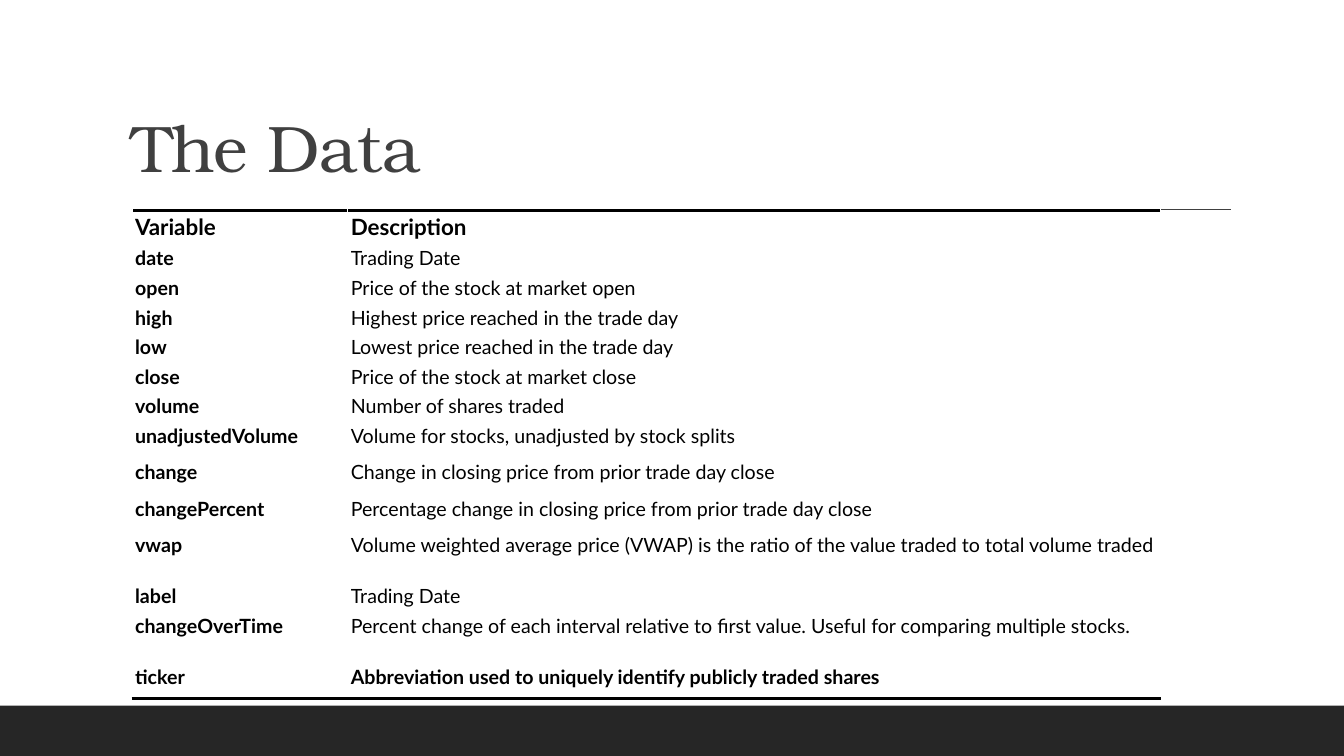
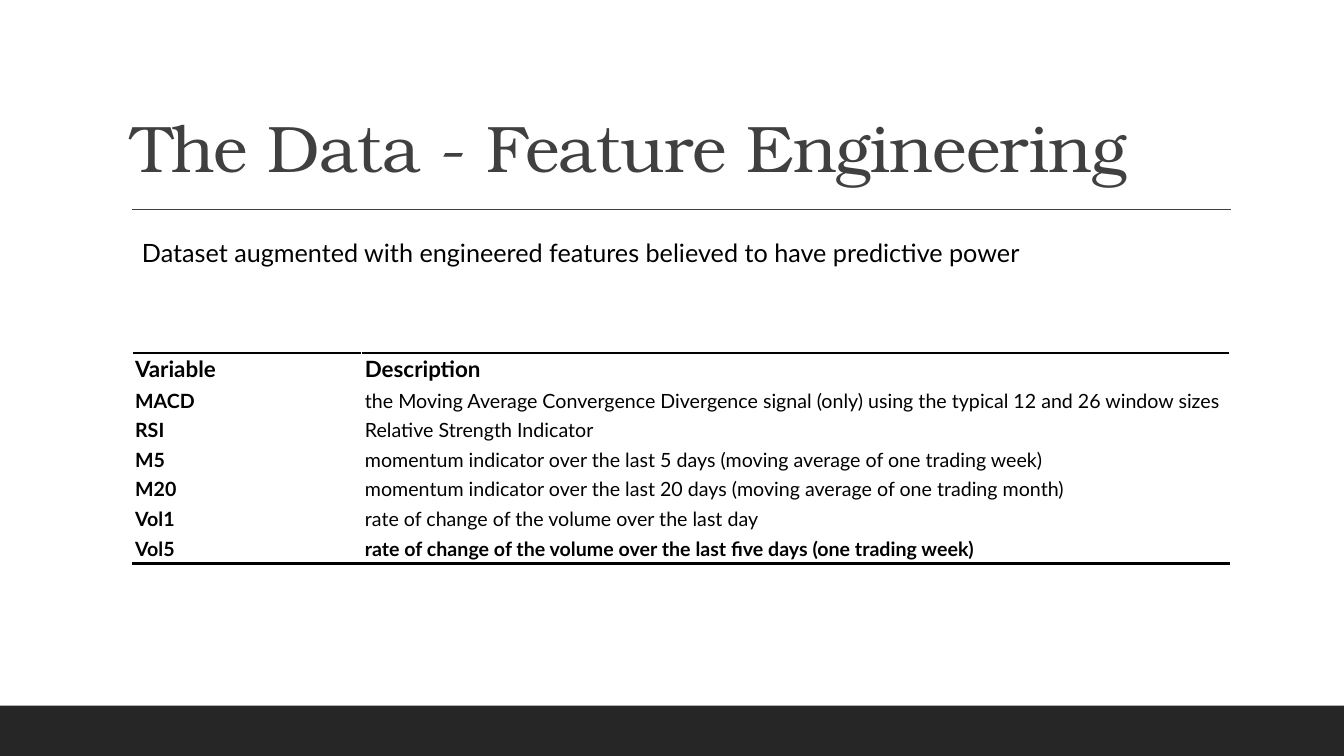
from lxml import etree
from pptx import Presentation
from pptx import util as u
from pptx.dml.color import RGBColor
from pptx.enum import shapes, text
from pptx.oxml import ns

# Colours and text formats
BLACK = RGBColor(0x00, 0x00, 0x00)
WHITE = RGBColor(0xFF, 0xFF, 0xFF)
RULE_GREY = RGBColor(0x40, 0x40, 0x40)
BAND_GREY = RGBColor(0x26, 0x26, 0x26)
TITLE_FORMAT = {"name": "TeX Gyre Bonum", "size": u.Pt(47), "bold": False}
LEAD_FORMAT = {"name": "Lato", "size": u.Pt(18)}
HEADER_FORMAT = {"name": "Lato", "size": u.Pt(16), "bold": True}
NAME_FORMAT = {"name": "Lato", "size": u.Pt(14), "bold": True}
BODY_FORMAT = NAME_FORMAT | {"bold": False}

# Slide size; all lengths below are percentages of it
WIDTH, HEIGHT = u.Inches(13.33), u.Inches(7.5)
LEFT, RIGHT = 9.83, 91.6
RULE_TOP, BAND_TOP = 27.73, 93.33
SINGLE, MEDIUM, TALL = 2.8, 4.8, 6.8  # least row heights

# Table rows: variable, description, row height
DATA_ROWS = [
    ("Variable", "Description", SINGLE),
    ("date", "Trading Date", SINGLE),
    ("open", "Price of the stock at market open", SINGLE),
    ("high", "Highest price reached in the trade day", SINGLE),
    ("low", "Lowest price reached in the trade day", SINGLE),
    ("close", "Price of the stock at market close", SINGLE),
    ("volume", "Number of shares traded", SINGLE),
    ("unadjustedVolume", "Volume for stocks, unadjusted by stock splits", MEDIUM),
    ("change", "Change in closing price from prior trade day close", MEDIUM),
    ("changePercent", "Percentage change in closing price from prior trade day close", MEDIUM),
    ("vwap", "Volume weighted average price (VWAP) is the ratio of the value traded "
             "to total volume traded", TALL),
    ("label", "Trading Date", SINGLE),
    ("changeOverTime", "Percent change of each interval relative to first value. "
                       "Useful for comparing multiple stocks.", TALL),
    ("ticker", "Abbreviation used to uniquely identify publicly traded shares", MEDIUM),
]
FEATURE_ROWS = [
    ("Variable", "Description", SINGLE),
    ("MACD", "the Moving Average Convergence Divergence signal (only) using the "
             "typical 12 and 26 window sizes", SINGLE),
    ("RSI", "Relative Strength Indicator", SINGLE),
    ("M5", "momentum indicator over the last 5 days (moving average of one trading week)", SINGLE),
    ("M20", "momentum indicator over the last 20 days (moving average of one trading month)", SINGLE),
    ("Vol1", "rate of change of the volume over the last day", SINGLE),
    ("Vol5", "rate of change of the volume over the last five days (one trading week)", SINGLE),
]


def across(percent):
    return round(WIDTH * percent / 100)


def down(percent):
    return round(HEIGHT * percent / 100)


def box(left, top, width, height):
    return across(left), down(top), across(width), down(height)


def write(text_frame, words, font_format, color=BLACK):
    """Put one formatted run in the first paragraph and return the run."""
    run = text_frame.paragraphs[0].add_run()
    run.text = words
    for name, value in font_format.items():
        setattr(run.font, name, value)
    run.font.color.rgb = color
    return run


def decorate_layout(layout, slide):
    """Place the title, the footer band and the rule on the shared layout."""
    title = layout.placeholders[0]
    title.left, title.top, title.width, title.height = box(9, 4.13, 82.5, 21.2)
    title.text_frame.vertical_anchor = text.MSO_ANCHOR.BOTTOM
    title.text_frame.auto_size = text.MSO_AUTO_SIZE.NONE

    band = slide.shapes.add_shape(
        shapes.MSO_SHAPE.RECTANGLE, *box(0, BAND_TOP, 100, 100 - BAND_TOP))
    band.shadow.inherit = False
    band.fill.solid()
    band.fill.fore_color.rgb = BAND_GREY
    band.line.fill.background()

    rule = slide.shapes.add_connector(
        shapes.MSO_CONNECTOR.STRAIGHT,
        across(LEFT), down(RULE_TOP), across(RIGHT), down(RULE_TOP))
    rule.line.color.rgb = RULE_GREY
    rule.line.width = u.Pt(1)
    etree.SubElement(rule.element.spPr, ns.qn("a:effectLst"))

    # Slides can create shapes, layouts cannot: move them over
    for shape in (band, rule):
        layout.shapes.element.append(shape.element)


def add_title(slide, words):
    text_frame = slide.shapes.title.text_frame
    run = write(text_frame, words, TITLE_FORMAT, RULE_GREY)
    run.font.element.set("spc", "-50") if hasattr(run.font, "element") else \
        run._r.get_or_add_rPr().set("spc", "-50")
    paragraph = text_frame.paragraphs[0]
    paragraph.alignment = text.PP_ALIGN.LEFT
    paragraph.line_spacing = 0.9


def add_border(cell, side):
    """Draw a black 2 pt edge; borders must precede the cell fill."""
    border = etree.Element(ns.qn(f"a:ln{side}"), w=str(u.Pt(2)))
    fill = etree.SubElement(border, ns.qn("a:solidFill"))
    etree.SubElement(fill, ns.qn("a:srgbClr"), val=str(BLACK))
    cell._tc.get_or_add_tcPr().insert(0, border)


def add_variable_table(slide, top, column_widths, rows):
    frame = slide.shapes.add_table(
        len(rows), len(column_widths),
        *box(LEFT, top, sum(column_widths), sum(row[-1] for row in rows)))
    table = frame.table
    table.first_row = table.horz_banding = False
    for column, width in zip(table.columns, column_widths):
        column.width = across(width)

    last = len(rows) - 1
    for index, (*words, height) in enumerate(rows):
        table.rows[index].height = down(height)
        for column, value in enumerate(words):
            cell = table.cell(index, column)
            for side in ("left", "top", "right", "bottom"):
                setattr(cell, f"margin_{side}", u.Inches(0.03))
            cell.fill.solid()
            cell.fill.fore_color.rgb = WHITE
            font_format = NAME_FORMAT if column == 0 or index == last else BODY_FORMAT
            if index == 0:
                font_format = HEADER_FORMAT
                cell.vertical_anchor = text.MSO_ANCHOR.BOTTOM
                add_border(cell, "T")
            elif index == last:
                add_border(cell, "B")
            write(cell.text_frame, value, font_format)


def add_lead(slide, words):
    text_box = slide.shapes.add_textbox(*box(LEFT, 30.67, 80.85, 5.33))
    text_box.text_frame.word_wrap = True
    write(text_box.text_frame, words, LEAD_FORMAT)


def main():
    presentation = Presentation()
    presentation.slide_width, presentation.slide_height = WIDTH, HEIGHT
    layout = presentation.slide_layouts.get_by_name("Title Only")

    # Variables of the source data
    slide = presentation.slides.add_slide(layout)
    decorate_layout(layout, slide)
    add_title(slide, "The Data")
    add_variable_table(slide, 27.87, (16.05, 60.45), DATA_ROWS)

    # Engineered features
    slide = presentation.slides.add_slide(layout)
    add_title(slide, "The Data - Feature Engineering")
    add_variable_table(slide, 46.67, (17.1, 64.58), FEATURE_ROWS)
    add_lead(slide, "Dataset augmented with engineered features believed to have predictive power")

    presentation.save("out.pptx")


if __name__ == "__main__":
    main()
